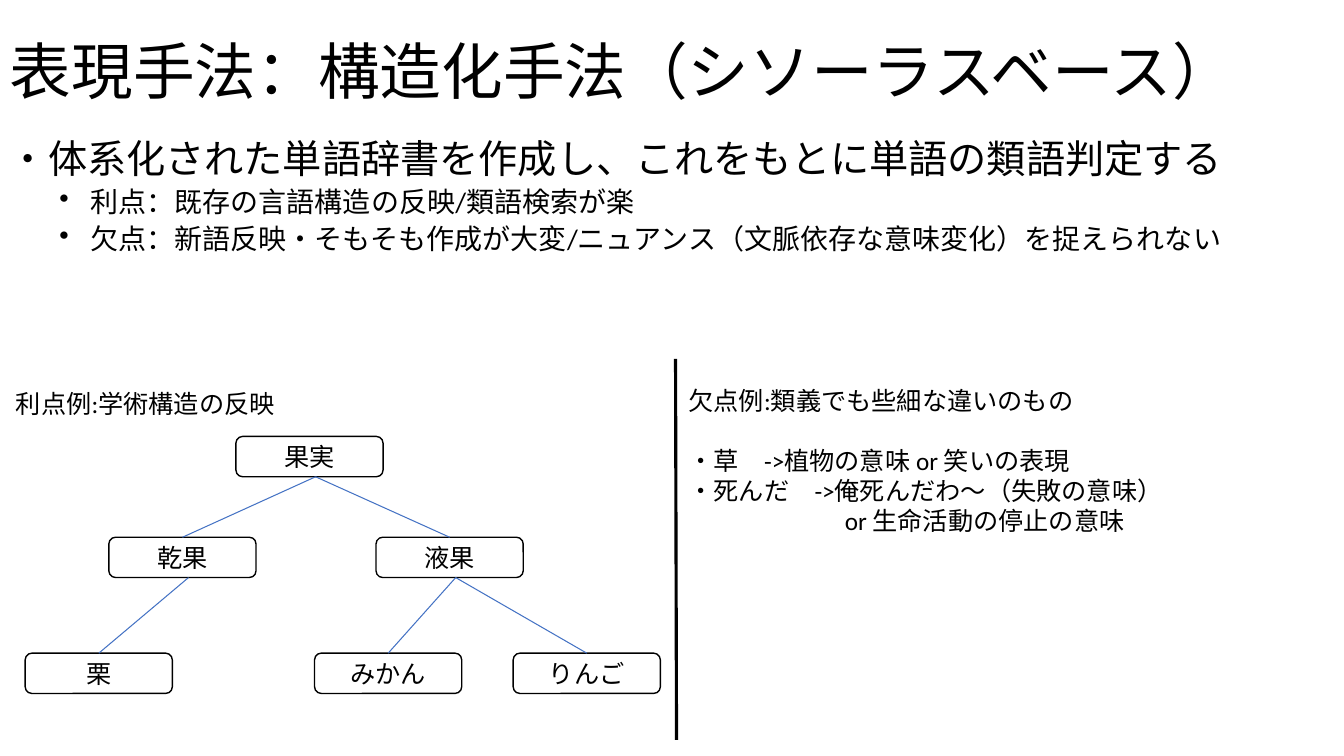
from dataclasses import dataclass

from lxml.etree import SubElement
from pptx import Presentation
from pptx.dml.color import RGBColor
from pptx.enum.shapes import MSO_CONNECTOR as Connector, MSO_SHAPE as Shape
from pptx.enum.text import MSO_ANCHOR as Anchor, PP_ALIGN as Align
from pptx.oxml.ns import qn
from pptx.util import Inches, Pt


@dataclass(frozen=True)
class Theme:
    ink: RGBColor = RGBColor(0, 0, 0)
    branch: RGBColor = RGBColor(0x44, 0x72, 0xC4)
    font: str = "Calibri"
    title_font: str = "Noto Sans CJK JP"
    title: int = 44
    lead: int = 28
    point: int = 20
    small: int = 18


THEME = Theme()
NODE_WIDTH, NODE_HEIGHT = 1.46, 0.4
BRANCH_SHIFT = 0.06
NODES = {
    "果実": (2.28, 0.53),
    "乾果": (1.02, 1.53),
    "液果": (3.67, 1.53),
    "栗": (0.19, 2.68),
    "みかん": (3.06, 2.68),
    "りんご": (5.03, 2.68),
}
BRANCHES = [
    ("果実", "液果"),
    ("果実", "乾果"),
    ("乾果", "栗"),
    ("液果", "みかん"),
    ("液果", "りんご"),
]


def style_paragraph(paragraph, size):
    font = paragraph.font
    font.size = Pt(size)
    font.color.rgb = THEME.ink
    font.name = THEME.font
    defaults = paragraph._p.pPr.find(qn("a:defRPr"))
    SubElement(defaults, qn("a:ea")).set("typeface", THEME.font)


def indent(paragraph, left, first=0):
    properties = paragraph._p.get_or_add_pPr()
    properties.set("marL", str(Inches(left)))
    properties.set("indent", str(Inches(first)))


def add_bullet(paragraph):
    defaults = paragraph._p.pPr.find(qn("a:defRPr"))
    bullet = SubElement(paragraph._p.pPr, qn("a:buChar"))
    bullet.set("char", "•")
    defaults.addprevious(bullet)


def add_text(slide, box, lines):
    text_box = slide.shapes.add_textbox(*map(Inches, box))
    frame = text_box.text_frame
    frame.word_wrap = True
    paragraphs = []
    for text, size in lines:
        paragraph = frame.add_paragraph() if paragraphs else frame.paragraphs[0]
        paragraph.add_run().text = text
        style_paragraph(paragraph, size)
        paragraphs.append(paragraph)
    return frame, paragraphs


def add_line(slide, start, end, color, width):
    points = map(Inches, (*start, *end))
    line = slide.shapes.add_connector(Connector.STRAIGHT, *points)
    line.line.color.rgb = color
    line.line.width = Pt(width)
    SubElement(line._element.spPr, qn("a:effectLst"))


def add_title(slide, box):
    frame, [paragraph] = add_text(slide, box, [("表現手法：", THEME.title)])
    frame.vertical_anchor = Anchor.MIDDLE
    paragraph.line_spacing = 0.9
    paragraph.runs[0].font.name = THEME.title_font
    paragraph.add_run().text = "構造化手法（シソーラスベース）"


def add_summary(slide, box):
    _, paragraphs = add_text(slide, box, [
        ("・体系化された単語辞書を作成し、これをもとに単語の類語判定する", THEME.lead),
        ("利点：既存の言語構造の反映/類語検索が楽", THEME.point),
        ("欠点：新語反映・そもそも作成が大変/ニュアンス（文脈依存な意味変化）を捉えられない", THEME.point),
    ])
    for paragraph in paragraphs[1:]:
        paragraph.level = 1
        indent(paragraph, 0.81, -0.31)
        add_bullet(paragraph)
        paragraph.line_spacing = 0.9
        paragraph.space_before = Pt(5)


def add_node(slide, left, top, label):
    box = map(Inches, (left, top, NODE_WIDTH, NODE_HEIGHT))
    node = slide.shapes.add_shape(Shape.ROUNDED_RECTANGLE, *box)
    node.shadow.inherit = False
    node.fill.background()
    node.line.color.rgb = THEME.ink
    node.line.width = Pt(1)
    frame = node.text_frame
    frame.vertical_anchor = Anchor.MIDDLE
    paragraph = frame.paragraphs[0]
    paragraph.add_run().text = label
    paragraph.alignment = Align.CENTER
    style_paragraph(paragraph, THEME.small)


def add_fruit_tree(slide, left, top):
    add_text(slide, (left, top, 3, 0.4), [("利点例:学術構造の反映", THEME.small)])
    for label, (x, y) in NODES.items():
        add_node(slide, left + x, top + y, label)
    for parent, child in BRANCHES:
        (parent_x, parent_y), (child_x, child_y) = NODES[parent], NODES[child]
        middle = left + NODE_WIDTH / 2
        start = (middle + parent_x + BRANCH_SHIFT, top + parent_y + NODE_HEIGHT)
        end = (middle + child_x, top + child_y)
        add_line(slide, start, end, THEME.branch, 0.75)


def add_drawbacks(slide, box):
    _, paragraphs = add_text(slide, box, [
        ("欠点例:類義でも些細な違いのもの", THEME.small),
        ("・草　->植物の意味 or 笑いの表現", THEME.small),
        ("・死んだ　->俺死んだわ～（失敗の意味）", THEME.small),
        ("or 生命活動の停止の意味", THEME.small),
    ])
    paragraphs[1].space_before = Pt(21.5)
    indent(paragraphs[3], 1.55)


def main():
    presentation = Presentation()
    presentation.slide_width = Inches(13.33)
    presentation.slide_height = Inches(7.5)
    slide = presentation.slides.add_slide(presentation.slide_layouts[6])
    add_title(slide, (0, 0, 13.33, 1.48))
    add_summary(slide, (-0.01, 1.28, 13.34, 2.13))
    add_fruit_tree(slide, 0.06, 3.8)
    add_line(slide, (6.7, 3.56), (6.71, 7.34), THEME.ink, 2.25)
    add_drawbacks(slide, (6.73, 3.77, 5.92, 1.62))
    presentation.save("out.pptx")


if __name__ == "__main__":
    main()
